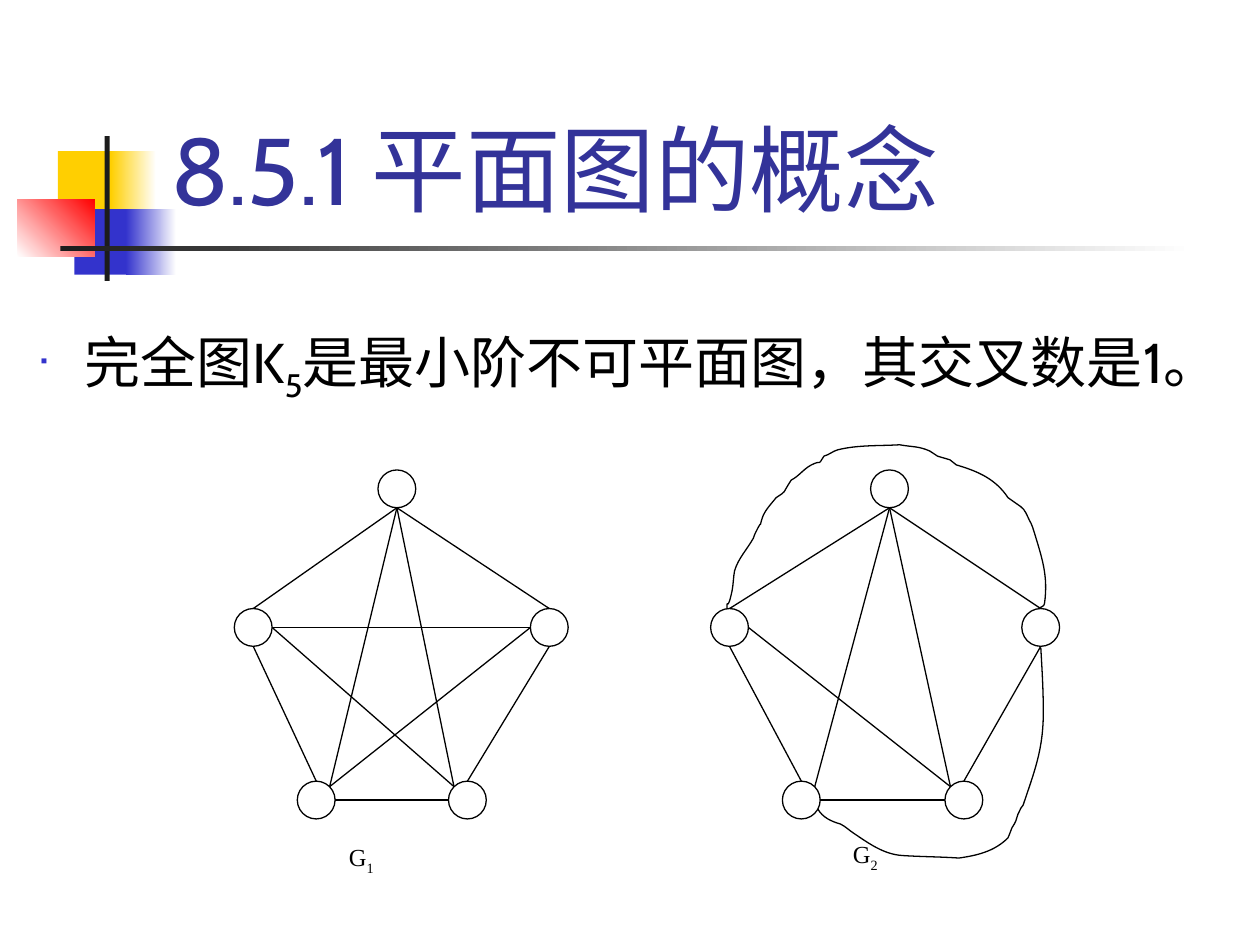
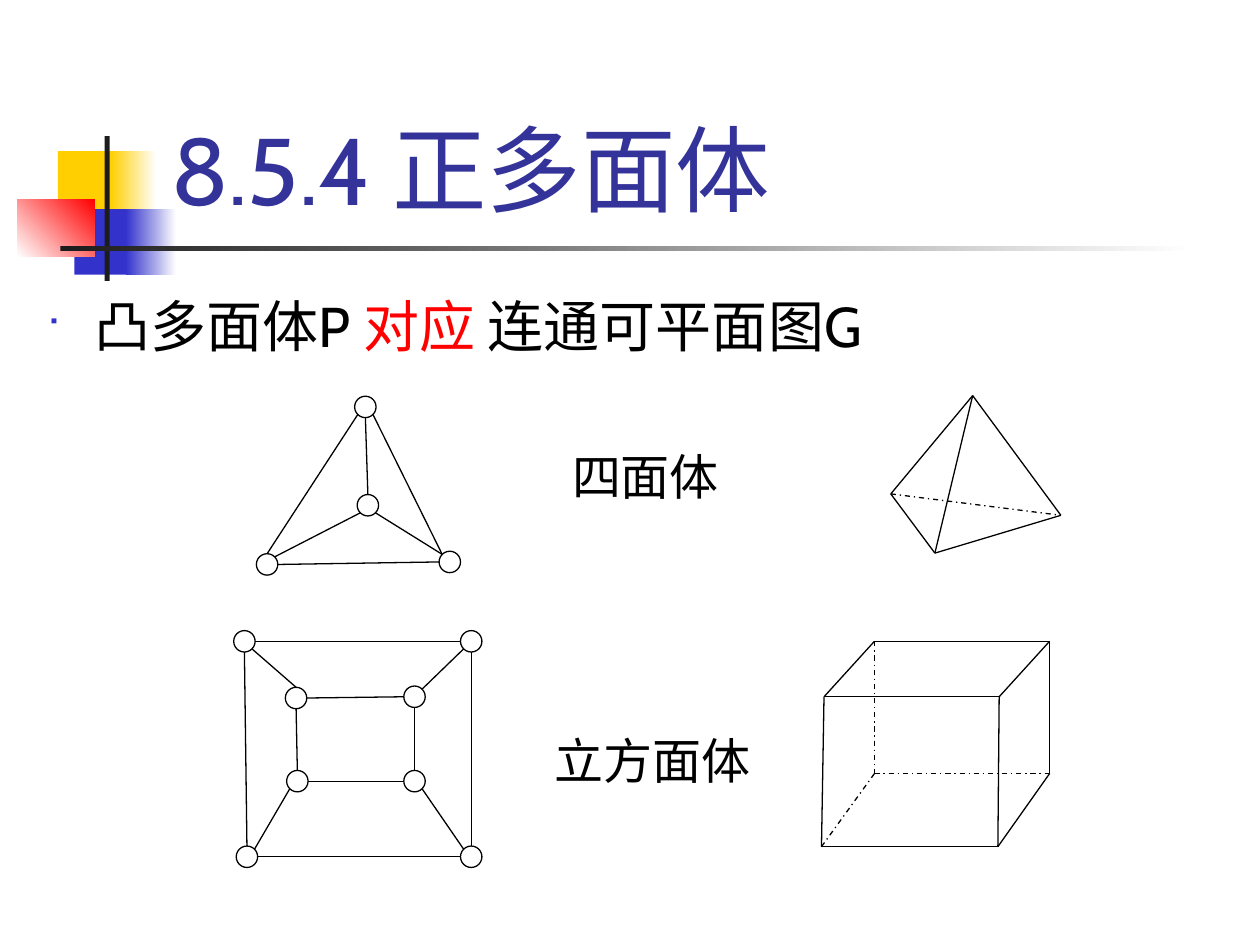
from lxml.etree import SubElement
from pptx import Presentation
from pptx.dml.color import RGBColor
from pptx.enum.dml import MSO_LINE_DASH_STYLE as DASH
from pptx.enum.shapes import MSO_CONNECTOR, MSO_SHAPE
from pptx.enum.text import MSO_ANCHOR as ANCHOR
from pptx.oxml.ns import qn
from pptx.util import Inches, Pt

BLACK = RGBColor(0x00, 0x00, 0x00)
WHITE = RGBColor(0xFF, 0xFF, 0xFF)
RED = RGBColor(0xFF, 0x00, 0x00)
YELLOW = RGBColor(0xFF, 0xCF, 0x01)
BLUE = RGBColor(0x33, 0x33, 0xCC)
NAVY = RGBColor(0x33, 0x33, 0x99)
CHARCOAL = RGBColor(0x1C, 0x1C, 0x1C)

HEAD_FONT, LABEL_FONT = "Cabin", "Times New Roman"
LINE = Pt(0.75)
D = 0.71
COMPASS = {"N": (0, -1), "S": (0, 1), "E": (1, 0), "W": (-1, 0),
           "NE": (D, -D), "NW": (-D, -D), "SE": (D, D), "SW": (-D, D)}

K5_OUTLINE = "T.S-L.N T.S-R.N L.S-A.N R.S-B.N A.E-B.W"
K5_INNER = "T.S-A.NE T.S-B.NW L.E-B.NW"
K5_CROSSING = "L.E-R.W R.W-A.NE"
G1_NODES = {"T": (1.29, 0.15), "L": (0.15, 1.25), "R": (2.5, 1.25),
            "A": (0.65, 2.62), "B": (1.85, 2.62)}
G2_NODES = {"T": (1.42, 0.15), "L": (0.15, 1.25), "R": (2.62, 1.25),
            "A": (0.72, 2.62), "B": (2.01, 2.62)}
OVER_THE_TOP = [
    (247, 130), (249, 129), (252, 128), (252, 126), (255, 104), (250, 90), (244, 70),
    (243, 67), (242, 63), (240, 60), (238, 56), (237, 52), (233, 49),
    (230, 47), (223, 42), (223, 42), (213, 27), (199, 21), (182, 16),
    (180, 15), (179, 13), (177, 12), (174, 11), (170, 10), (167, 9),
    (165, 8), (163, 6), (161, 5), (152, 1), (148, 2), (137, 0),
    (121, 1), (104, 0), (88, 4), (84, 5), (81, 8), (77, 9),
    (71, 18), (77, 11), (67, 16), (61, 19), (57, 25), (51, 28),
    (43, 40), (48, 36), (39, 42), (35, 47), (30, 52), (28, 58),
    (24, 71), (30, 55), (23, 69), (22, 70), (22, 72), (21, 74),
    (16, 83), (9, 90), (6, 100), (5, 105), (5, 111), (4, 116),
    (0, 135), (0, 120), (0, 130)]
AROUND_THE_RIGHT = [
    (177, 0), (178, 17), (179, 34), (179, 51), (179, 81), (172, 98), (163, 125),
    (162, 127), (160, 128), (160, 130), (158, 133), (158, 137), (156, 140),
    (155, 142), (153, 144), (153, 146), (152, 147), (152, 150), (151, 151),
    (140, 162), (126, 165), (112, 167), (97, 166), (82, 166), (67, 165),
    (52, 164), (40, 155), (28, 147), (25, 145), (22, 142), (18, 140),
    (11, 138), (4, 135), (0, 128)]

TETRA_NODES = {"T": (0.87, 0.09), "L": (0.09, 1.34), "R": (1.54, 1.32), "M": (0.89, 0.87)}
TETRA_EDGES = "T.SW-L.N L.E-R.W T.SE-R.NW T.S-M.N M.SW-L.NE M.SE-R.NW"
CUBE_NODES = {"a": (0.08, 0.08), "b": (1.88, 0.08), "c": (0.1, 1.79), "d": (1.88, 1.79),
              "e": (0.49, 0.53), "f": (1.43, 0.52), "g": (0.5, 1.19), "h": (1.43, 1.19)}
CUBE_EDGES = ("a.E-b.W a.S-c.N b.S-d.N c.E-d.W a.SE-e.N b.SW-f.NE "
              "e.E-f.W e.S-g.N f.S-h.N g.E-h.W g.SW-c.NE h.SE-d.NW")
TETRAHEDRON = {"T": (0.65, 0), "L": (0, 0.78), "F": (0.35, 1.25), "R": (1.35, 0.95)}
CUBE = {"a": (0.42, 0), "b": (1.81, 0), "c": (0.42, 1.05), "d": (1.81, 1.05),
        "e": (0.02, 0.44), "f": (1.41, 0.44), "g": (0, 1.63), "h": (1.4, 1.63)}


def add_run(p, text, font=HEAD_FONT, size=32, color=BLACK, baseline=0):
    """Append a formatted run; baseline is a percentage shift."""
    r = p.add_run()
    r.text = text
    r.font.name, r.font.size = font, Pt(size)
    r.font.color.rgb = color
    if baseline:
        r.font._element.set("baseline", str(baseline * 1000))


def add_box(s, x, y, w, h, anchor=ANCHOR.TOP):
    """Add a wrapping text box and return it with its first paragraph."""
    sp = s.shapes.add_textbox(Inches(x), Inches(y), Inches(w), Inches(h))
    tf = sp.text_frame
    tf.word_wrap, tf.vertical_anchor = True, anchor
    return sp, tf.paragraphs[0]


def paint(sp, fill, line):
    """Give a shape a plain fill and a thin line."""
    sp.fill.solid()
    sp.fill.fore_color.rgb = fill
    sp.line.color.rgb, sp.line.width = line, LINE


def add_label(s, x, y, w, h, text, sub="", size=28, pad=(0.11, 0.06)):
    """Add a white figure label with an optional subscript."""
    sp, p = add_box(s, x, y, w, h)
    paint(sp, WHITE, WHITE)
    tf = sp.text_frame
    tf.margin_left = tf.margin_right = Inches(pad[0])
    tf.margin_top = tf.margin_bottom = Inches(pad[1])
    add_run(p, text, LABEL_FONT, size)
    if sub:
        add_run(p, sub, LABEL_FONT, size, baseline=-30)


def add_block(s, x, y, w, h, start, end=None, angle=0):
    """Add a borderless rectangle, plain or fading from start to end."""
    sp = s.shapes.add_shape(MSO_SHAPE.RECTANGLE, Inches(x), Inches(y), Inches(w), Inches(h))
    sp.shadow.inherit = False
    sp.line.fill.background()
    if end is None:
        sp.fill.solid()
        sp.fill.fore_color.rgb = start
        return
    sp.fill.gradient()
    sp.fill.gradient_angle = angle
    for stop, color in zip(sp.fill.gradient_stops, (start, end)):
        stop.color.rgb = color


def add_header(s, title):
    """Draw the coloured squares, the rules and the title."""
    add_block(s, 0.46, 1.2, 0.48, 0.52, YELLOW)
    add_block(s, 0.88, 1.2, 0.36, 0.52, YELLOW, WHITE)
    add_block(s, 0.59, 1.66, 0.46, 0.52, BLUE)
    add_block(s, 1, 1.66, 0.4, 0.52, BLUE, WHITE)
    add_block(s, 0.14, 1.58, 0.61, 0.46, WHITE, RED, 45)
    add_block(s, 0.83, 1.08, 0.04, 1.15, CHARCOAL)
    add_block(s, 0.48, 1.95, 9, 0.04, CHARCOAL, WHITE)
    _, p = add_box(s, 1.26, 0.23, 8.52, 1.6, ANCHOR.BOTTOM)
    add_run(p, title, size=54, color=NAVY)


def add_bullet(s, x, y, w, h, runs, spacing):
    """Add the body statement with a square blue bullet."""
    _, p = add_box(s, x, y, w, h)
    pPr = p._p.get_or_add_pPr()
    pPr.set("marL", str(Inches(0.38)))
    pPr.set("indent", str(-Inches(0.38)))
    SubElement(SubElement(pPr, qn("a:buClr")), qn("a:srgbClr")).set("val", str(BLUE))
    SubElement(pPr, qn("a:buSzPct")).set("val", "60000")
    SubElement(pPr, qn("a:buFont")).set("typeface", "Wingdings")
    SubElement(pPr, qn("a:buChar")).set("char", "■")
    p.line_spacing = spacing
    for text, style in runs:
        add_run(p, text, **style)


def add_line(s, start, end, dash=None):
    """Draw a thin black line between two points."""
    cn = s.shapes.add_connector(MSO_CONNECTOR.STRAIGHT, *map(Inches, (*start, *end)))
    cn.line.color.rgb, cn.line.width = BLACK, LINE
    if dash:
        cn.line.dash_style = dash
    SubElement(cn._element.spPr, qn("a:effectLst"))


def add_graph(s, x, y, nodes, edges, size):
    """Draw round nodes and edges that join compass points on their rims."""
    radius = size / 2

    def rim(end):
        name, side = end.split(".")
        return [o + c + radius * d for o, c, d in zip((x, y), nodes[name], COMPASS[side])]

    for cx, cy in nodes.values():
        sp = s.shapes.add_shape(MSO_SHAPE.OVAL, Inches(x + cx - radius), Inches(y + cy - radius),
                                Inches(size), Inches(size))
        sp.shadow.inherit = False
        paint(sp, WHITE, BLACK)
    for edge in edges.split():
        add_line(s, *map(rim, edge.split("-")))


def add_solid(s, x, y, corners, visible, hidden):
    """Draw a polyhedron with its hidden edges dash-dotted."""
    for edges, dash in ((visible, None), (hidden, DASH.DASH_DOT)):
        for edge in edges.split():
            add_line(s, *[(x + corners[c][0], y + corners[c][1]) for c in edge], dash)


def add_curve(s, x, y, points):
    """Draw an open Bezier edge from points in hundredths of an inch."""
    fb = s.shapes.build_freeform(*points[0], scale=Inches(0.01))
    fb.add_line_segments(points[1:], close=False)
    sp = fb.convert_to_shape(Inches(x), Inches(y))
    sp.shadow.inherit = False
    sp.fill.background()
    sp.line.color.rgb, sp.line.width = BLACK, LINE
    outline = next(sp._element.iter(qn("a:path")))
    segments = outline.findall(qn("a:lnTo"))
    for i in range(0, len(segments), 3):
        bezier = SubElement(outline, qn("a:cubicBezTo"))
        for segment in segments[i:i + 3]:
            bezier.append(segment[0])
            outline.remove(segment)


def add_k5(s, x, y, nodes, edges, number, label_at, curves=()):
    """Draw one drawing of K5 with its label and curved edges."""
    add_label(s, x + label_at[0], y + label_at[1], 0.87, 0.76, "G", number, 14, (0.1, 0.05))
    add_graph(s, x, y, nodes, edges, 0.3)
    for dx, dy, points in curves:
        add_curve(s, x + dx, y + dy, points)


def planar_slide(s):
    """Build the slide on planar graphs."""
    add_header(s, "8.5.1 平面图的概念")
    add_bullet(s, 0.19, 1.94, 9.81, 5.56, [
        ("完全图K", {}), ("5", {"baseline": -25}),
        ("是最小阶不可平面图，其交叉数是1。", {})], 2.0)
    shared = f"{K5_OUTLINE} {K5_INNER}"
    add_k5(s, 1.86, 3.73, G1_NODES, f"{shared} {K5_CROSSING}", "1", (0.81, 2.9))
    add_k5(s, 5.64, 3.73, G2_NODES, shared, "2", (1.03, 2.88),
           ((0.13, -0.2, OVER_THE_TOP), (0.85, 1.41, AROUND_THE_RIGHT)))


def polyhedra_slide(s):
    """Build the slide on regular polyhedra."""
    add_header(s, "8.5.4 正多面体")
    add_bullet(s, 0.27, 2, 9.73, 5.5, [
        ("凸多面体P ", {}), ("对应", {"color": RED}), (" 连通可平面图G", {})], 1.5)
    add_graph(s, 2.03, 3.14, TETRA_NODES, TETRA_EDGES, 0.17)
    add_graph(s, 1.86, 5.01, CUBE_NODES, CUBE_EDGES, 0.17)
    add_solid(s, 7.07, 3.14, TETRAHEDRON, "TL TR TF RF LF", "LR")
    add_solid(s, 6.52, 5.09, CUBE, "ab ef gh ae bf fh bd dh eg", "cd ac cg")
    add_label(s, 4.29, 5.74, 2.05, 0.71, "立方面体")
    add_label(s, 4.43, 3.48, 1.61, 0.71, "四面体")


def main():
    """Create and save the presentation."""
    prs = Presentation()
    prs.slide_width, prs.slide_height = Inches(10), Inches(7.5)
    for build in (planar_slide, polyhedra_slide):
        build(prs.slides.add_slide(prs.slide_layouts[6]))
    prs.save("out.pptx")


if __name__ == "__main__":
    main()
